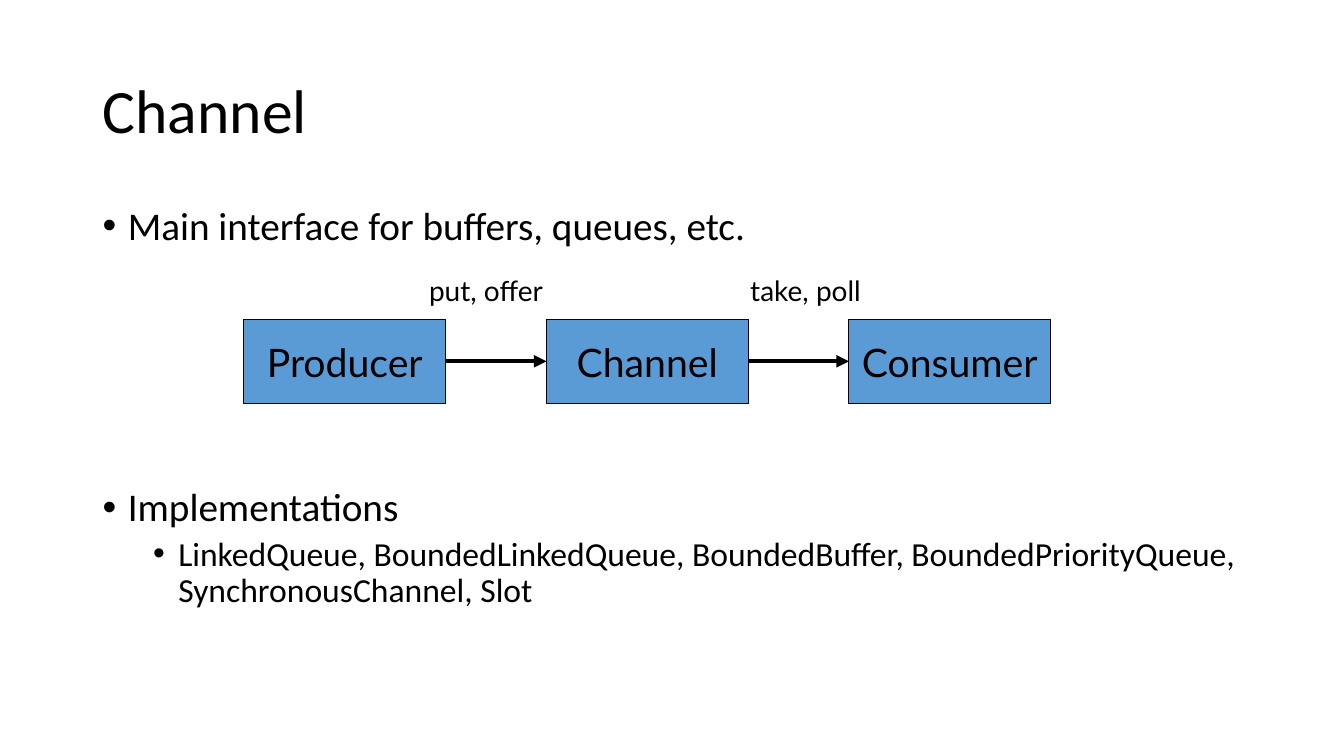
import pptx
import pptx.util
import pptx.dml.color
import pptx.enum.shapes
import pptx.enum.text
import pptx.oxml.ns
from dataclasses import dataclass
from lxml import etree

Inches = pptx.util.Inches
Pt = pptx.util.Pt
RGB = pptx.dml.color.RGBColor
Align = pptx.enum.text.PP_ALIGN
Anchor = pptx.enum.text.MSO_ANCHOR
qn = pptx.oxml.ns.qn


@dataclass(frozen=True)
class Theme:
    ink: str = "000000"
    box: str = "5B9BD5"
    body_font: str = "Calibri"
    diagram_font: str = "Lato"
    title: int = 44
    body: int = 28
    sub: int = 24
    label: int = 20


THEME = Theme()


def style(p, font, size):
    for r in p.runs:
        r.font.name = font
        r.font.size = Pt(size)
        r.font.color.rgb = RGB.from_string(THEME.ink)


def add_text(slide, box, text, font, size, align=Align.LEFT, wrap=True):
    """Place one vertically centred paragraph in box (left, top, width, height)."""
    tf = slide.shapes.add_textbox(*map(Inches, box)).text_frame
    tf.word_wrap = wrap
    tf.vertical_anchor = Anchor.MIDDLE
    p = tf.paragraphs[0]
    p.text = text
    p.alignment = align
    style(p, font, size)
    return p


def add_title(slide, box, text):
    add_text(slide, box, text, THEME.body_font, THEME.title).line_spacing = 0.9


def add_bullets(slide, box, items):
    """Items are (text, level, space before in points)."""
    tf = slide.shapes.add_textbox(*map(Inches, box)).text_frame
    tf.word_wrap = True
    for i, (text, level, before) in enumerate(items):
        p = tf.add_paragraph() if i else tf.paragraphs[0]
        p.text = text
        p.level = level
        p.line_spacing = 0.9
        p.space_before = Pt(before)
        pPr = p._p.get_or_add_pPr()
        pPr.set("marL", str(Inches(0.25 + 0.5 * level)))
        pPr.set("indent", str(Inches(-0.25)))
        etree.SubElement(pPr, qn("a:buFont")).set("typeface", "Arial")
        etree.SubElement(pPr, qn("a:buChar")).set("char", "•")
        style(p, THEME.body_font, THEME.sub if level else THEME.body)


def add_stage(slide, box, text):
    sp = slide.shapes.add_shape(pptx.enum.shapes.MSO_SHAPE.RECTANGLE, *map(Inches, box))
    sp.shadow.inherit = False
    sp.fill.solid()
    sp.fill.fore_color.rgb = RGB.from_string(THEME.box)
    sp.line.color.rgb = RGB.from_string(THEME.ink)
    sp.line.width = Pt(0.75)
    tf = sp.text_frame
    tf.word_wrap = False
    tf.vertical_anchor = Anchor.MIDDLE
    p = tf.paragraphs[0]
    p.text = text
    p.alignment = Align.CENTER
    style(p, THEME.diagram_font, THEME.body)


def add_arrow(slide, x1, x2, y):
    cx = slide.shapes.add_connector(
        pptx.enum.shapes.MSO_CONNECTOR.STRAIGHT, Inches(x1), Inches(y), Inches(x2), Inches(y))
    cx.line.color.rgb = RGB.from_string(THEME.ink)
    cx.line.width = Pt(3)
    spPr = cx._element.spPr
    etree.SubElement(spPr.find(qn("a:ln")), qn("a:tailEnd")).set("type", "triangle")
    etree.SubElement(spPr, qn("a:effectLst"))


def add_flow(slide, box, stages, calls):
    """Row of stages joined by arrows; calls are (text, centre from arrow start)."""
    left, top, width, height = box
    label_w, label_h = 1.34, 0.42
    stage_w, stage_h = 2, 0.83
    gap = (width - stage_w * len(stages)) / (len(stages) - 1)
    stage_top = top + height - stage_h
    for i, stage in enumerate(stages):
        add_stage(slide, (left + i * (stage_w + gap), stage_top, stage_w, stage_h), stage)
    for i, (text, center) in enumerate(calls):
        start = left + stage_w + i * (stage_w + gap)
        add_arrow(slide, start, start + gap, stage_top + stage_h / 2)
        add_text(slide, (start + center - label_w / 2, top, label_w, label_h), text,
                 THEME.diagram_font, THEME.label, Align.CENTER, wrap=False)


def main():
    prs = pptx.Presentation()
    prs.slide_width, prs.slide_height = Inches(13.33), Inches(7.5)
    slide = prs.slides.add_slide(prs.slide_layouts[6])
    add_title(slide, (0.92, 0.4, 11.5, 1.45), "Channel")
    add_bullets(slide, (0.92, 2, 11.5, 4.76), [
        ("Main interface for buffers, queues, etc.", 0, 0),
        ("Implementations", 0, 170.7),
        ("LinkedQueue, BoundedLinkedQueue, BoundedBuffer, BoundedPriorityQueue, "
         "SynchronousChannel, Slot", 1, 5),
    ])
    add_flow(slide, (2.42, 2.67, 8, 1.33), ["Producer", "Channel", "Consumer"],
             [("put, offer", 0.4), ("take, poll", 0.57)])
    prs.save("out.pptx")


if __name__ == "__main__":
    main()
